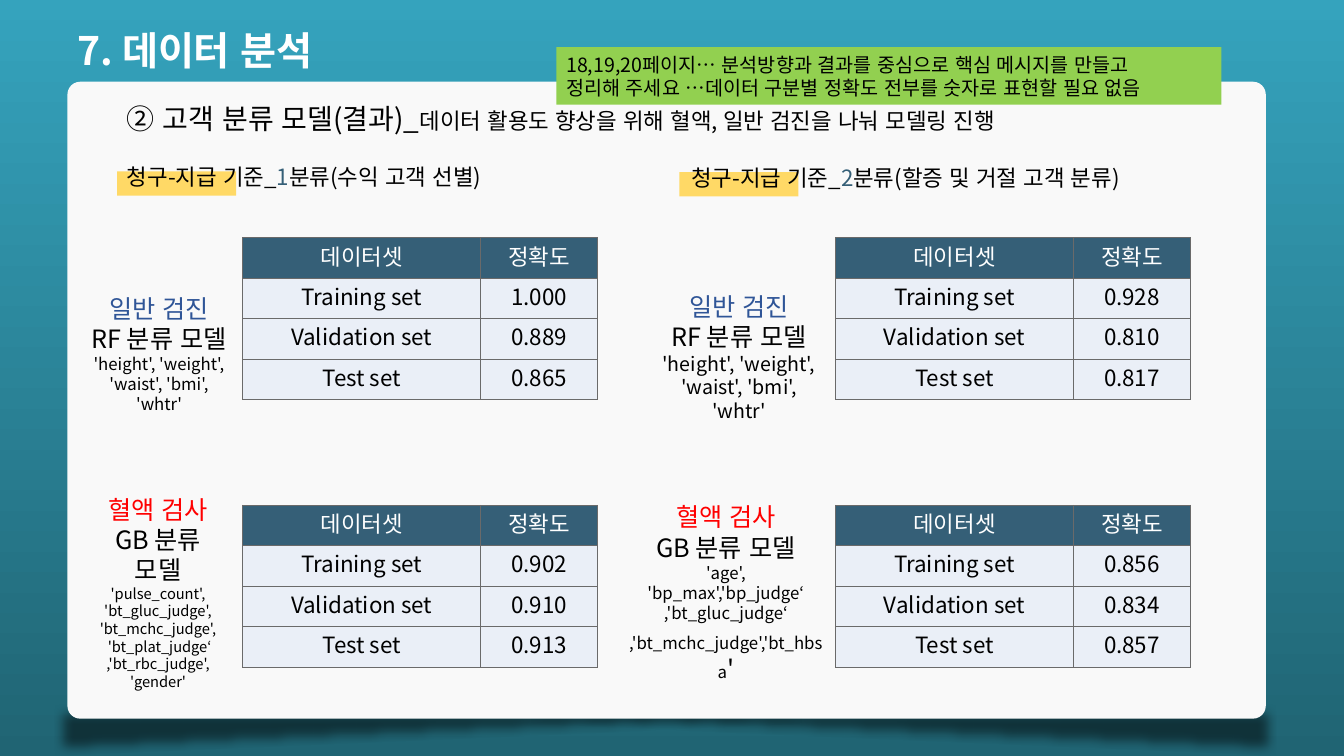
from pptx import Presentation, util as u
from pptx.dml.color import RGBColor
from pptx.enum import lang, shapes, text
from pptx.oxml import parse_xml
from pptx.oxml.ns import nsdecls, qn
from lxml import etree

FONT = "Noto Sans CJK KR"
WHITE = RGBColor(0xFF, 0xFF, 0xFF)
BLACK = RGBColor(0, 0, 0)
SKY = RGBColor(0x35, 0xA3, 0xBD)
DEEP = RGBColor(0x20, 0x64, 0x73)
CARD = RGBColor(0xF9, 0xF9, 0xF9)
YELLOW = RGBColor(0xFF, 0xD9, 0x66)
GREEN = RGBColor(0x92, 0xD0, 0x50)
NAVY = RGBColor(0x35, 0x5F, 0x77)
PALE = RGBColor(0xEA, 0xEF, 0xF7)
BLUE = RGBColor(0x2F, 0x55, 0x97)
RED = RGBColor(0xFF, 0, 0)
BORDER = "6A6A6A"

GENERAL = ("일반 검진", BLUE, "RF 분류 모델")
BLOOD = ("혈액 검사", RED, "GB 분류 모델")
TABLE_COLUMNS = (5.99, 2.95)
ROW_HEIGHT = 1.02
DATASETS = ("Training set", "Validation set", "Test set")


def cm_box(box):
    """Turn left, top, width, height in centimetres into lengths."""
    return [u.Cm(value) for value in box]


def set_format(target, values):
    """Set every attribute named in a dict of format values."""
    for name, value in values.items():
        setattr(target, name, value)


def write(frame, paragraphs, align=text.PP_ALIGN.LEFT):
    """Fill a text frame; each paragraph is a list of (text, size, colour)."""
    frame.word_wrap = True
    for index, runs in enumerate(paragraphs):
        paragraph = frame.paragraphs[0] if index == 0 else frame.add_paragraph()
        largest = max(size for _, size, _ in runs)
        set_format(paragraph, {"alignment": align, "line_spacing": u.Pt(largest * 1.2)})
        for content, size, colour in runs:
            run = paragraph.add_run()
            run.text = content
            set_format(run.font, {"name": FONT, "size": u.Pt(size),
                                  "language_id": lang.MSO_LANGUAGE_ID.KOREAN})
            run.font.color.rgb = colour
            etree.SubElement(run.font._element, qn("a:ea"), typeface=FONT)


def add_text(slide, box, paragraphs, align=text.PP_ALIGN.LEFT):
    """Add a wrapped text box."""
    shape = slide.shapes.add_textbox(*cm_box(box))
    write(shape.text_frame, paragraphs, align)
    return shape


def add_block(slide, box, colour, kind=shapes.MSO_SHAPE.RECTANGLE):
    """Add a plain filled shape without a line."""
    shape = slide.shapes.add_shape(kind, *cm_box(box))
    shape.shadow.inherit = False
    shape.fill.solid()
    shape.fill.fore_color.rgb = colour
    shape.line.fill.background()
    return shape


def add_card_shadow(slide, box, flips):
    """Add a soft translucent wedge under the card."""
    wedge = add_block(slide, box, BLACK, shapes.MSO_SHAPE.RIGHT_TRIANGLE)
    properties = wedge._element.spPr
    for flip in flips:
        properties.find(qn("a:xfrm")).set(flip, "1")
    colour = properties.find(qn("a:solidFill"))[0]
    etree.SubElement(colour, qn("a:alpha"), val="51000")
    effects = properties.find(qn("a:effectLst"))
    etree.SubElement(effects, qn("a:softEdge"), rad="88900")


def add_backdrop(slide, box):
    """Paint the gradient background and the rounded card with its shadow."""
    fill = slide.background.fill
    fill.gradient()
    fill.gradient_angle = 270
    for stop, colour in zip(fill.gradient_stops, (SKY, DEEP)):
        stop.color.rgb = colour
    left, top, width, height = box
    shadow_top = top + height - 0.35
    add_card_shadow(slide, (left - 0.05, shadow_top, width + 0.33, 1.27), ("flipH", "flipV"))
    add_card_shadow(slide, (left - 0.33, shadow_top, width + 0.33, 1.27), ("flipV",))
    card = add_block(slide, box, CARD, shapes.MSO_SHAPE.ROUNDED_RECTANGLE)
    card.adjustments[0] = 0.02


def add_titles(slide, box):
    """Add the slide title and the subtitle below it."""
    left, top, width, height = box
    title = add_text(slide, box, [[("7. 데이터 분석", 28, WHITE)]])
    title.text_frame.paragraphs[0].runs[0].font.bold = True
    add_text(slide, (left + 1.25, top + 1.91, width + 4.67, 1.12), [[
        ("② 고객 분류 모델(결과)_", 20, BLACK),
        ("데이터 활용도 향상을 위해 혈액, 일반 검진을 나눠 모델링 진행", 16, BLACK)]])


def add_heading(slide, box, mark_left, number, rest):
    """Add a column heading over its yellow mark."""
    add_block(slide, (mark_left, box[1] + 0.33, 3, 0.61), YELLOW)
    add_text(slide, box, [[("청구-지급 기준_", 16, BLACK),
                           (number, 16, NAVY), (rest, 16, BLACK)]])


def add_label(slide, box, model, features):
    """Add the model name with its list of features, as rows of runs."""
    group, colour, name = model
    rows = [[(group, 18, colour)], [(name, 18, BLACK)]]
    rows += [[(content, size, BLACK) for content, size in row] for row in features]
    add_text(slide, box, rows, text.PP_ALIGN.CENTER)


def add_borders(cell):
    """Draw thin grey borders on all sides of a cell."""
    properties = cell._tc.get_or_add_tcPr()
    for index, side in enumerate(("lnL", "lnR", "lnT", "lnB")):
        properties.insert(index, parse_xml(
            f'<a:{side} {nsdecls("a")} w="9525"><a:solidFill>'
            f'<a:srgbClr val="{BORDER}"/></a:solidFill></a:{side}>'))


def add_accuracy_table(slide, left, top, accuracies):
    """Add a table of the accuracy for each dataset."""
    rows = [("데이터셋", "정확도"), *zip(DATASETS, accuracies)]
    box = (left, top, sum(TABLE_COLUMNS), ROW_HEIGHT * len(rows))
    table = slide.shapes.add_table(len(rows), len(TABLE_COLUMNS), *cm_box(box)).table
    set_format(table, {"first_row": False, "horz_banding": False})
    for column, width in zip(table.columns, TABLE_COLUMNS):
        column.width = u.Cm(width)
    for row_index, row in enumerate(rows):
        table.rows[row_index].height = u.Cm(ROW_HEIGHT)
        fill, ink = (PALE, BLACK) if row_index else (NAVY, WHITE)
        for column_index, content in enumerate(row):
            cell = table.cell(row_index, column_index)
            cell.vertical_anchor = text.MSO_ANCHOR.MIDDLE
            cell.fill.solid()
            cell.fill.fore_color.rgb = fill
            write(cell.text_frame, [[(content, 16, ink)]], text.PP_ALIGN.CENTER)
            add_borders(cell)


def add_comment(slide, box):
    """Add the green review comment."""
    note = add_block(slide, box, GREEN)
    note.text_frame.vertical_anchor = text.MSO_ANCHOR.MIDDLE
    write(note.text_frame, [
        [("18,19,20페이지… 분석방향과 결과를 중심으로 핵심 메시지를 만들고", 14, BLACK)],
        [("정리해 주세요 …데이터 구분별 정확도 전부를 숫자로 표현할 필요 없음", 14, BLACK)]])


def plain_rows(size, *lines):
    """Give every feature line one run of the same size."""
    return [[(line, size)] for line in lines]


BODY = ("'height', 'weight',", "'waist', 'bmi', 'whtr'")
PULSE = plain_rows(10.5, "'pulse_count',", "'bt_gluc_judge',", "'bt_mchc_judge',",
                   " 'bt_plat_judge‘", ",'bt_rbc_judge',", "'gender'")
AGE = plain_rows(12, "'age', 'bp_max','bp_judge‘", ",'bt_gluc_judge‘")
AGE.append([(",'bt_mchc_judge','bt_hbsa", 12), ("'", 18)])
HEADINGS = [
    ((2.95, 3.99, 9.6, 0.94), 2.95, "1", "분류(수익 고객 선별)"),
    ((17.17, 4.01, 11.46, 0.94), 17.12, "2", "분류(할증 및 거절 고객 분류)"),
]
LABELS = [
    ((1.9, 7.26, 4.22, 2.82), GENERAL, plain_rows(12, *BODY)),
    ((16.2, 7.21, 4.85, 3.76), GENERAL, plain_rows(14, *BODY)),
    ((2.03, 12.32, 3.91, 4.5), BLOOD, PULSE),
    ((15.54, 12.52, 5.51, 3.58), BLOOD, AGE),
]
TABLES = [
    (6.12, 5.99, ("1.000", "0.889", "0.865")),
    (21.06, 5.99, ("0.928", "0.810", "0.817")),
    (6.12, 12.73, ("0.902", "0.910", "0.913")),
    (21.06, 12.73, ("0.856", "0.834", "0.857")),
]

presentation = Presentation()
set_format(presentation, {"slide_width": u.Cm(33.87), "slide_height": u.Cm(19.05)})
slide = presentation.slides.add_slide(presentation.slide_layouts[6])
add_backdrop(slide, (1.7, 2.06, 30.2, 16.05))
add_titles(slide, (1.7, 0.53, 19.1, 1.45))
for add_part, entries in ((add_heading, HEADINGS), (add_label, LABELS),
                          (add_accuracy_table, TABLES)):
    for entry in entries:
        add_part(slide, *entry)
add_comment(slide, (14.02, 1.19, 16.76, 1.45))
presentation.save("out.pptx")
